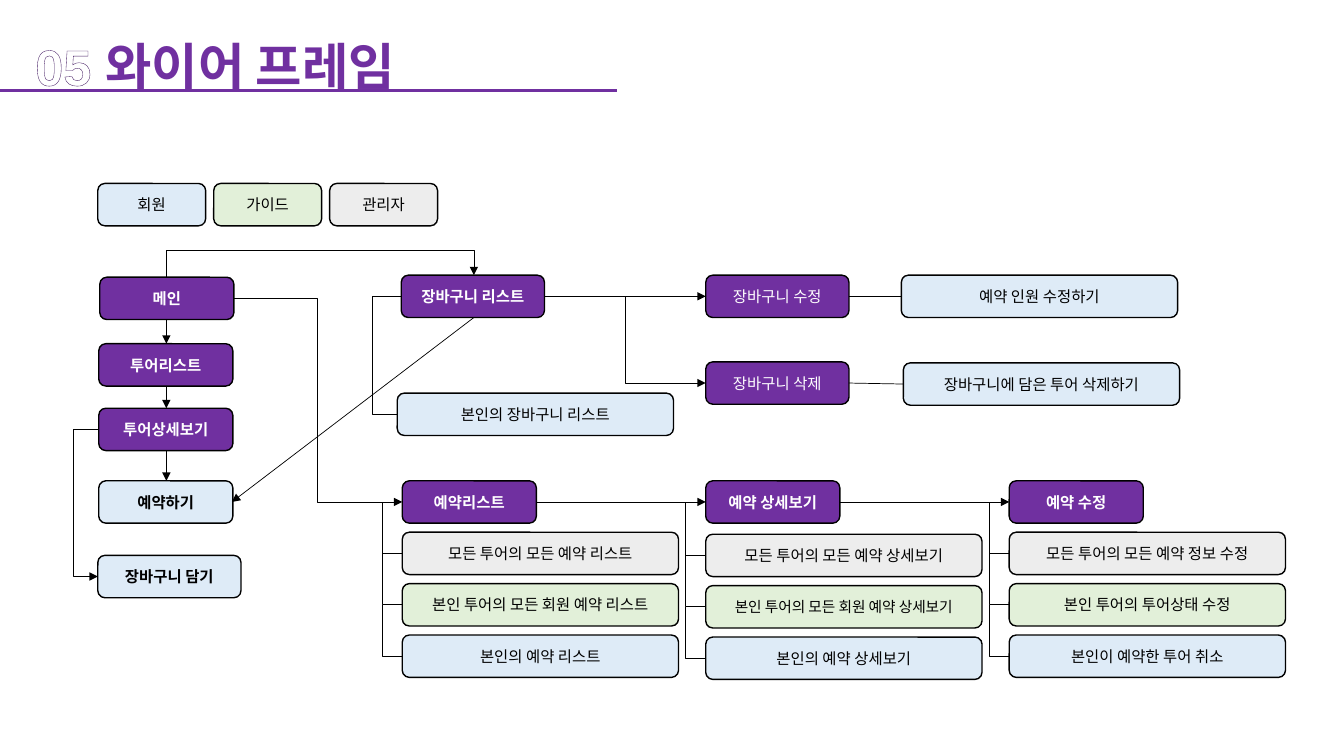
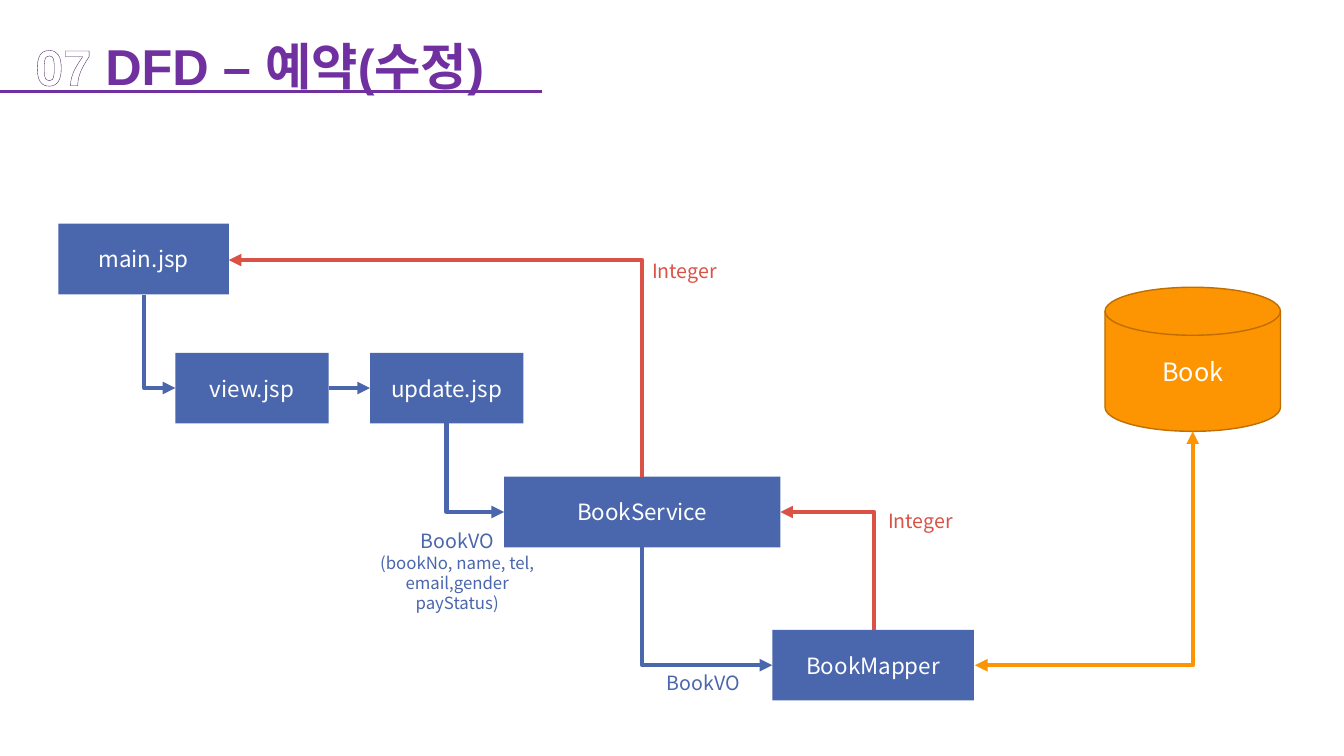
from lxml import etree
from pptx import Presentation
from pptx.dml.color import RGBColor
from pptx.enum.shapes import MSO_CONNECTOR, MSO_SHAPE
from pptx.enum.text import MSO_ANCHOR, MSO_AUTO_SIZE, PP_ALIGN
from pptx.oxml.ns import qn
from pptx.util import Emu, Pt

STRAIGHT, ELBOW = MSO_CONNECTOR.STRAIGHT, MSO_CONNECTOR.ELBOW
ROUNDED, RECTANGLE = MSO_SHAPE.ROUNDED_RECTANGLE, MSO_SHAPE.RECTANGLE
DISK = MSO_SHAPE.FLOWCHART_MAGNETIC_DISK
LEFT, CENTER = PP_ALIGN.LEFT, PP_ALIGN.CENTER
TOP, MIDDLE = MSO_ANCHOR.TOP, MSO_ANCHOR.MIDDLE
GROW = MSO_AUTO_SIZE.SHAPE_TO_FIT_TEXT

PURPLE = RGBColor(0x70, 0x30, 0xA0)
DARK_PURPLE = RGBColor(0x46, 0x1E, 0x64)
WHITE = RGBColor(0xFF, 0xFF, 0xFF)
BLACK = RGBColor(0x00, 0x00, 0x00)
MEMBER = RGBColor(0xDE, 0xEB, 0xF7)
GUIDE = RGBColor(0xE2, 0xF0, 0xD9)
ADMIN = RGBColor(0xED, 0xED, 0xED)
BLUE = RGBColor(0x4A, 0x66, 0xAC)
RED = RGBColor(0xDA, 0x51, 0x46)
ORANGE = RGBColor(0xFD, 0x94, 0x01)
BROWN = RGBColor(0xBF, 0x6E, 0x01)

TITLE_FONT, BODY_FONT = "Arial", "Noto Sans CJK KR"
SCALE = 9144
BOX_HEIGHT, STEP_HEIGHT = 42, 70


def px(*lengths):
    return [Emu(length * SCALE) for length in lengths]


def write(paragraph, text, *, size, color, font=BODY_FONT, bold=False, outline=None):
    run = paragraph.add_run()
    run.text = text
    run.font.size = Pt(size)
    run.font.bold = bold
    run.font.color.rgb = color
    run.font.name = font
    properties = run.font._element
    etree.SubElement(properties, qn("a:ea"), typeface=BODY_FONT)
    if outline is not None:
        line = etree.Element(qn("a:ln"), w=str(Pt(0.75)))
        fill = etree.SubElement(line, qn("a:solidFill"))
        etree.SubElement(fill, qn("a:srgbClr"), val=str(outline))
        properties.insert(0, line)


class Deck:
    def __init__(self):
        self.presentation = Presentation()
        self.presentation.slide_width, self.presentation.slide_height = px(1333, 750)
        self.slide = None

    def add_slide(self, number, title, width, height, rule_end, rule_y):
        layout = self.presentation.slide_layouts[5]
        self.slide = self.presentation.slides.add_slide(layout)
        shape = self.slide.shapes.title
        shape.left, shape.top, shape.width, shape.height = px(25, 0, width, height)
        frame = shape.text_frame
        frame.word_wrap = True
        frame.auto_size = GROW
        frame.vertical_anchor = TOP
        paragraph = frame.paragraphs[0]
        paragraph.alignment = LEFT
        paragraph.line_spacing = 1.5
        style = {"size": 36, "font": TITLE_FONT, "bold": True}
        write(paragraph, number, color=WHITE, outline=DARK_PURPLE, **style)
        write(paragraph, title, color=PURPLE, **style)
        self.line((0, rule_y), (rule_end, rule_y), color=PURPLE, width=2.25)

    def box(self, text, left, top, width, height, *, fill, preset=ROUNDED,
            border=BLACK, **text_format):
        shape = self.slide.shapes.add_shape(preset, *px(left, top, width, height))
        shape.shadow.inherit = False
        shape.fill.solid()
        shape.fill.fore_color.rgb = fill
        if border is None:
            shape.line.fill.background()
        else:
            shape.line.color.rgb = border
            shape.line.width = Pt(1)
        shape.text_frame.vertical_anchor = MIDDLE
        paragraph = shape.text_frame.paragraphs[0]
        paragraph.alignment = CENTER
        write(paragraph, text, **text_format)

    def screen(self, text, left, top, width=133, bold=True):
        self.box(text, left, top, width, BOX_HEIGHT, fill=PURPLE,
                 size=11, color=WHITE, bold=bold)

    def action(self, text, left, top, width=274, fill=MEMBER, size=11, bold=False):
        self.box(text, left, top, width, BOX_HEIGHT, fill=fill,
                 size=size, color=BLACK, bold=bold)

    def step(self, text, left, top, width):
        self.box(text, left, top, width, STEP_HEIGHT, fill=BLUE, preset=RECTANGLE,
                 border=None, size=16, color=WHITE)

    def label(self, left, top, width, height, *lines, color, alignment=CENTER):
        shape = self.slide.shapes.add_textbox(*px(left, top, width, height))
        frame = shape.text_frame
        frame.word_wrap = True
        frame.auto_size = GROW
        for index, (text, size) in enumerate(lines):
            paragraph = frame.add_paragraph() if index else frame.paragraphs[0]
            paragraph.alignment = alignment
            write(paragraph, text, size=size, color=color)

    def line(self, begin, end, *, color=BLACK, width=0.5, arrows=(), kind=STRAIGHT,
             preset=None, bend=None):
        connector = self.slide.shapes.add_connector(kind, *px(*begin, *end))
        connector.line.color.rgb = color
        connector.line.width = Pt(width)
        properties = connector.element.find(qn("p:spPr"))
        geometry = properties.find(qn("a:prstGeom"))
        if preset:
            geometry.set("prst", preset)
        if bend is not None:
            guides = geometry.find(qn("a:avLst"))
            if guides is None:
                guides = etree.SubElement(geometry, qn("a:avLst"))
            etree.SubElement(guides, qn("a:gd"), name="adj1", fmla=f"val {bend}")
        outline = properties.find(qn("a:ln"))
        for arrow in arrows:
            etree.SubElement(outline, qn(f"a:{arrow}End"), type="triangle")
        etree.SubElement(properties, qn("a:effectLst"))

    def arrow(self, begin, end, **line_format):
        self.line(begin, end, arrows=("tail",), **line_format)

    def corner(self, begin, end, **line_format):
        self.line(begin, end, kind=ELBOW, preset="bentConnector2", **line_format)

    def detour(self, begin, end, via, **line_format):
        bend = round(100000 * (via - begin[0]) / (end[0] - begin[0]))
        self.line(begin, end, kind=ELBOW, bend=bend, **line_format)


def build_wireframe(deck):
    deck.add_slide("05 ", "와이어 프레임", 598, 89, 612, 90)
    roles = [("회원", MEMBER), ("가이드", GUIDE), ("관리자", ADMIN)]
    for index, (role, fill) in enumerate(roles):
        deck.action(role, 97 + 115 * index, 182, width=107, fill=fill)

    deck.screen("메인", 99, 275)
    deck.screen("투어리스트", 98, 341)
    deck.screen("투어상세보기", 98, 405)
    deck.action("예약하기", 98, 477, width=133, bold=True)
    deck.action("장바구니 담기", 97, 551, width=142, bold=True)
    for top, bottom in [(317, 341), (383, 405), (447, 477)]:
        deck.arrow((165, top), (165, bottom))
    deck.detour((98, 426), (97, 572), 72, arrows=("tail",))

    deck.screen("장바구니 리스트", 398, 273, width=142)
    deck.screen("장바구니 수정", 700, 273, width=142, bold=False)
    deck.screen("장바구니 삭제", 700, 359, width=142, bold=False)
    deck.action("본인의 장바구니 리스트", 394, 390)
    deck.action("예약 인원 수정하기", 894, 273)
    deck.action("장바구니에 담은 투어 삭제하기", 896, 360)
    deck.line((165, 275), (165, 248))
    deck.corner((165, 248), (470, 273), arrows=("tail",))
    deck.arrow((470, 315), (230, 498))
    deck.detour((398, 294), (394, 411), 369)
    deck.arrow((540, 294), (700, 294))
    deck.detour((540, 294), (700, 380), 620, arrows=("tail",))
    deck.line((842, 294), (894, 294))
    deck.line((842, 380), (896, 381))

    columns = [
        ("예약리스트", 528, 11, "모든 투어의 모든 예약 리스트",
         "본인 투어의 모든 회원 예약 리스트", "본인의 예약 리스트"),
        ("예약 상세보기", 530, 10.5, "모든 투어의 모든 예약 상세보기",
         "본인 투어의 모든 회원 예약 상세보기", "본인의 예약 상세보기"),
        ("예약 수정", 528, 11, "모든 투어의 모든 예약 정보 수정",
         "본인 투어의 투어상태 수정", "본인이 예약한 투어 취소"),
    ]
    deck.detour((232, 296), (399, 498), 315, arrows=("tail",))
    for column, (heading, first_top, guide_size, *details) in enumerate(columns):
        left = 399 + 301 * column
        deck.screen(heading, left, 477)
        if column:
            deck.arrow((left - 168, 498), (left, 498))
        branch_top = 498
        rows = zip(details, (ADMIN, GUIDE, MEMBER), (11, guide_size, 11))
        for row, (text, fill, size) in enumerate(rows):
            top = first_top + 51 * row
            center = top + BOX_HEIGHT // 2
            deck.action(text, left, top, fill=fill, size=size)
            deck.corner((left, center), (left - 20, branch_top))
            branch_top = center


def build_data_flow(deck):
    deck.add_slide("07", " DFD – 예약(수정)", 1253, 101, 538, 91)
    deck.step("main.jsp", 58, 222, 169)
    deck.step("view.jsp", 174, 350, 152)
    deck.step("update.jsp", 367, 350, 152)
    deck.step("BookService", 500, 473, 274)
    deck.step("BookMapper", 766, 625, 200)
    deck.box("Book", 1096, 285, 174, 143, fill=ORANGE, preset=DISK, border=BROWN,
             size=18, color=WHITE)

    deck.arrow((326, 385), (367, 385), color=BLUE, width=3)
    flows = [
        ((174, 385), (143, 293), BLUE, ("head",)),
        ((500, 508), (443, 420), BLUE, ("head",)),
        ((766, 660), (637, 543), BLUE, ("head",)),
        ((774, 508), (867, 625), RED, ("head",)),
        ((227, 258), (637, 473), RED, ("head",)),
        ((967, 660), (1183, 428), ORANGE, ("head", "tail")),
    ]
    for target, source, color, arrows in flows:
        deck.corner(target, source, color=color, width=3, arrows=arrows)

    for left, top in [(871, 500), (637, 252)]:
        deck.label(left, top, 284, 34, ("Integer", 14), color=RED, alignment=LEFT)
    deck.label(366, 520, 175, 94, ("BookVO", 14),
               ("(bookNo, name, tel, email,gender payStatus)", 12), color=BLUE)
    deck.label(616, 661, 163, 34, ("BookVO", 14), color=BLUE)


def main():
    deck = Deck()
    build_wireframe(deck)
    build_data_flow(deck)
    deck.presentation.save("out.pptx")


if __name__ == "__main__":
    main()
